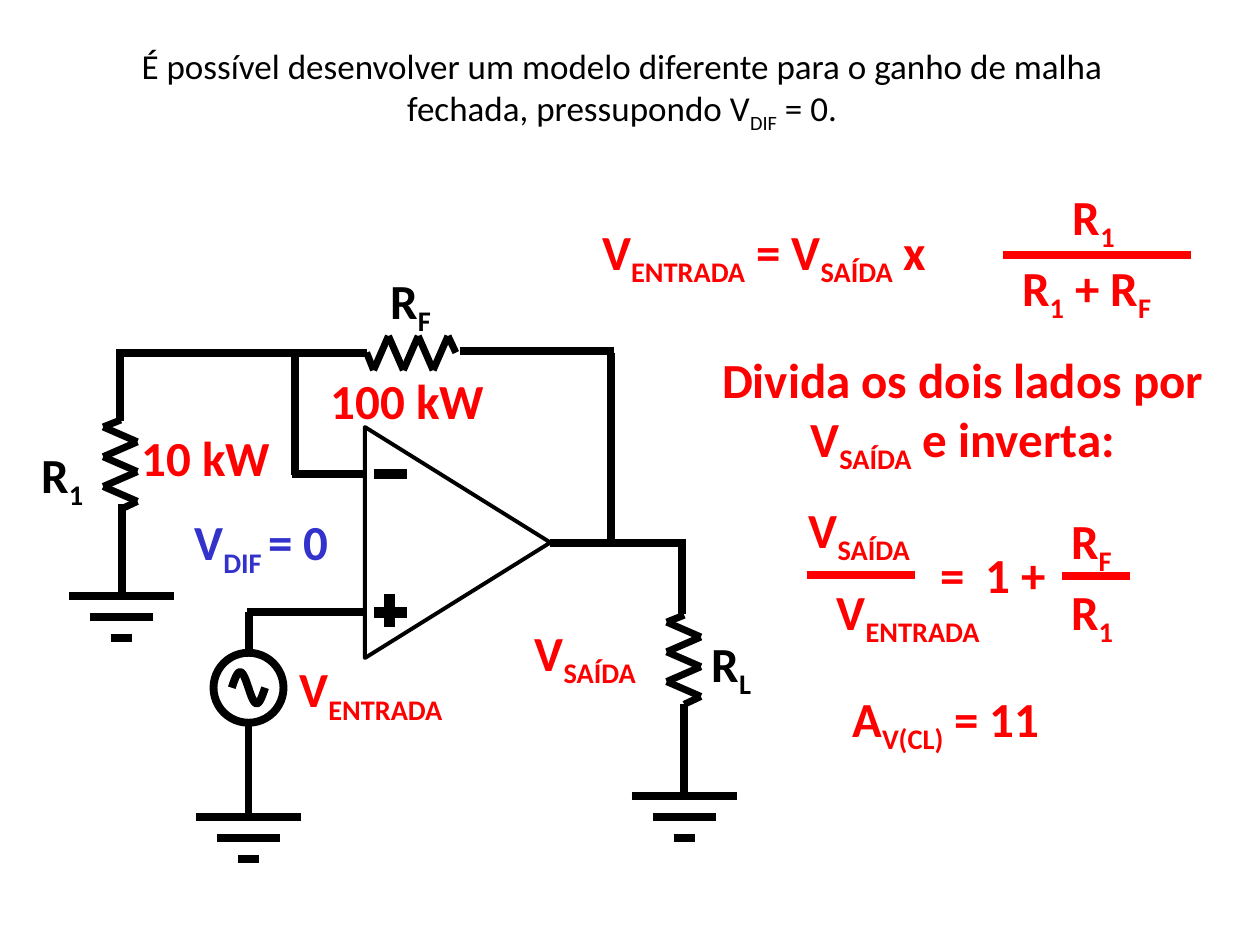
import math
from itertools import pairwise

from lxml import etree
from pptx import Presentation
from pptx.dml.color import RGBColor
from pptx.enum import shapes, text
from pptx.oxml import ns
from pptx.util import Pt

BLACK = RGBColor(0x00, 0x00, 0x00)
RED = RGBColor(0xFF, 0x00, 0x00)
BLUE = RGBColor(0x33, 0x33, 0xCC)
FONT = "Calibri"


def wire(slide, x1, y1, x2, y2, color=BLACK, width=4.5):
    line = slide.shapes.add_connector(
        shapes.MSO_CONNECTOR.STRAIGHT, Pt(x1), Pt(y1), Pt(x2), Pt(y2))
    line.line.color.rgb = color
    line.line.width = Pt(width)
    etree.SubElement(line._element.spPr, ns.qn("a:effectLst"))


def outline(shape, width):
    shape.shadow.inherit = False
    shape.fill.background()
    shape.line.color.rgb = BLACK
    shape.line.width = Pt(width)


def formula(slide, x, y, width, *lines, color=RED, size=28, bold=True,
            height=45, centred=False):
    box = slide.shapes.add_textbox(Pt(x), Pt(y), Pt(width), Pt(height))
    frame = box.text_frame
    frame.word_wrap = centred
    frame.auto_size = text.MSO_AUTO_SIZE.SHAPE_TO_FIT_TEXT
    for row, content in enumerate(lines):
        paragraph = frame.add_paragraph() if row else frame.paragraphs[0]
        if centred:
            paragraph.alignment = text.PP_ALIGN.CENTER
        paragraph.font.name = FONT
        paragraph.font.size = Pt(size)
        paragraph.font.bold = bold
        paragraph.font.color.rgb = color
        for part, piece in enumerate(content.split("|")):
            if piece:
                run = paragraph.add_run()
                run.text = piece
                if part % 2:
                    run.font._element.set("baseline", "-25000")


def resistor(slide, x, y, horizontal=False):
    turns = [(4 + 8.5 * k, 9.5 if k % 2 else -10) for k in range(6)]
    zigzag = [(0, 0), *turns, (51, 0)]
    corners = [(x + along, y - across) if horizontal else (x + across, y + along)
               for along, across in zigzag]
    for start, end in pairwise(corners):
        wire(slide, *start, *end, width=4)


def ground(slide, x, y):
    wire(slide, x, y, x, y + 51)
    for step, half in enumerate((30, 18, 6)):
        bar = y + 52.5 + 12 * step
        wire(slide, x - half, bar, x + half, bar)


def amplifier(slide, x, y):
    length, base = 106, 132
    body = slide.shapes.add_shape(
        shapes.MSO_SHAPE.ISOSCELES_TRIANGLE, Pt(x + (length - base) / 2),
        Pt(y + (base - length) / 2), Pt(base), Pt(length))
    body.rotation = 90
    outline(body, 2.25)
    wire(slide, x + 5.2, y + 27, x + 24, y + 27, width=6)
    wire(slide, x + 5.2, y + 106, x + 24, y + 106, width=6)
    wire(slide, x + 14, y + 95.5, x + 14, y + 114.5, width=6)


def ac_source(slide, x, y, diameter):
    ring = slide.shapes.add_shape(
        shapes.MSO_SHAPE.OVAL, Pt(x), Pt(y), Pt(diameter), Pt(diameter))
    outline(ring, 4.5)
    middle = diameter / 2
    steps = 24
    wave = [(Pt(x + middle + 19 * (k / steps - 0.5)),
             Pt(y + middle - 9 * math.sin(2 * math.pi * k / steps)))
            for k in range(steps + 1)]
    builder = slide.shapes.build_freeform(*wave[0])
    builder.add_line_segments(wave[1:], close=False)
    outline(builder.convert_to_shape(), 4.5)


def circuit(slide, left, top):
    for x1, y1, x2, y2 in [
        (298.5, 160.5, 376, 160.5), (373.5, 159.5, 373.5, 201),
        (192, 199.5, 125, 199.5), (126.5, 199.5, 126.5, 222.5),
        (193, 121, 151, 121), (152.5, 121.5, 152.5, 51.5),
        (247, 50.5, 335, 50.5), (333, 52, 333, 160),
        (50.5, 51.5, 193.5, 51.5), (52.5, 50, 52.5, 90.5),
    ]:
        wire(slide, left + x1, top + y1, left + x2, top + y2)
    amplifier(slide, left + 192.5, top + 94)
    ac_source(slide, left + 106, top + 223, 40)
    for x, y, horizontal in [(375, 201.5, False), (53, 90, False),
                             (193.5, 51.5, True)]:
        resistor(slide, left + x, top + y, horizontal)
    for x, y in [(126, 264.5), (375, 252.5), (53.5, 138)]:
        ground(slide, left + x, top + y)
    for x, y, width, label, color in [
        (383.5, 208.5, 40, "R|L", BLACK), (148, 223, 100, "V|ENTRADA", RED),
        (282.5, 202, 76, "V|SAÍDA", RED), (200, 1, 40, "R|F", BLACK),
        (166, 58, 105, "100 kW", RED), (58, 91, 91, "10 kW", RED),
        (88, 139, 94, "V|DIF |= 0", BLUE), (0.5, 100.5, 41, "R|1", BLACK),
    ]:
        formula(slide, left + x, top + y, width, label, color=color)


def divider_equation(slide, left, top):
    formula(slide, left, top + 20, 203, "V|ENTRADA| = V|SAÍDA| x")
    formula(slide, left + 269, top, 41, "R|1")
    formula(slide, left + 240, top + 40.5, 91, "R|1| + R|F")
    wire(slide, left + 236, top + 42.5, left + 343.5, top + 42.5, RED)


def gain_equation(slide, left, top):
    formula(slide, left, top, 76, "V|SAÍDA")
    formula(slide, left + 16, top + 46.5, 100, "V|ENTRADA")
    wire(slide, left + 6, top + 46.5, left + 68, top + 46.5, RED)
    formula(slide, left + 75.5, top + 25.5, 31, "=", height=41)
    formula(slide, left + 101, top + 25.5, 52, "1 +", height=41)
    formula(slide, left + 150, top + 6, 40, "R|F")
    formula(slide, left + 150, top + 46.5, 41, "R|1")
    wire(slide, left + 152, top + 47, left + 191, top + 47, RED)


def heading(slide, left, top, width):
    formula(slide, left, top, width,
            "É possível desenvolver um modelo diferente para o ganho de malha",
            "fechada, pressupondo V|DIF| = 0.",
            color=BLACK, size=20, bold=False, height=59, centred=True)


def main():
    deck = Presentation()
    deck.slide_width, deck.slide_height = Pt(720), Pt(540)
    slide = deck.slides.add_slide(deck.slide_layouts[6])
    circuit(slide, 16, 150)
    heading(slide, 19.5, 22, 672)
    divider_equation(slide, 337, 103)
    formula(slide, 402.5, 196, 295, "Divida os dois lados por ",
            "V|SAÍDA| e inverta:", height=79, centred=True)
    gain_equation(slide, 455, 282)
    formula(slide, 480, 390, 125, "A|V(CL)| = 11")
    deck.save("out.pptx")


if __name__ == "__main__":
    main()
